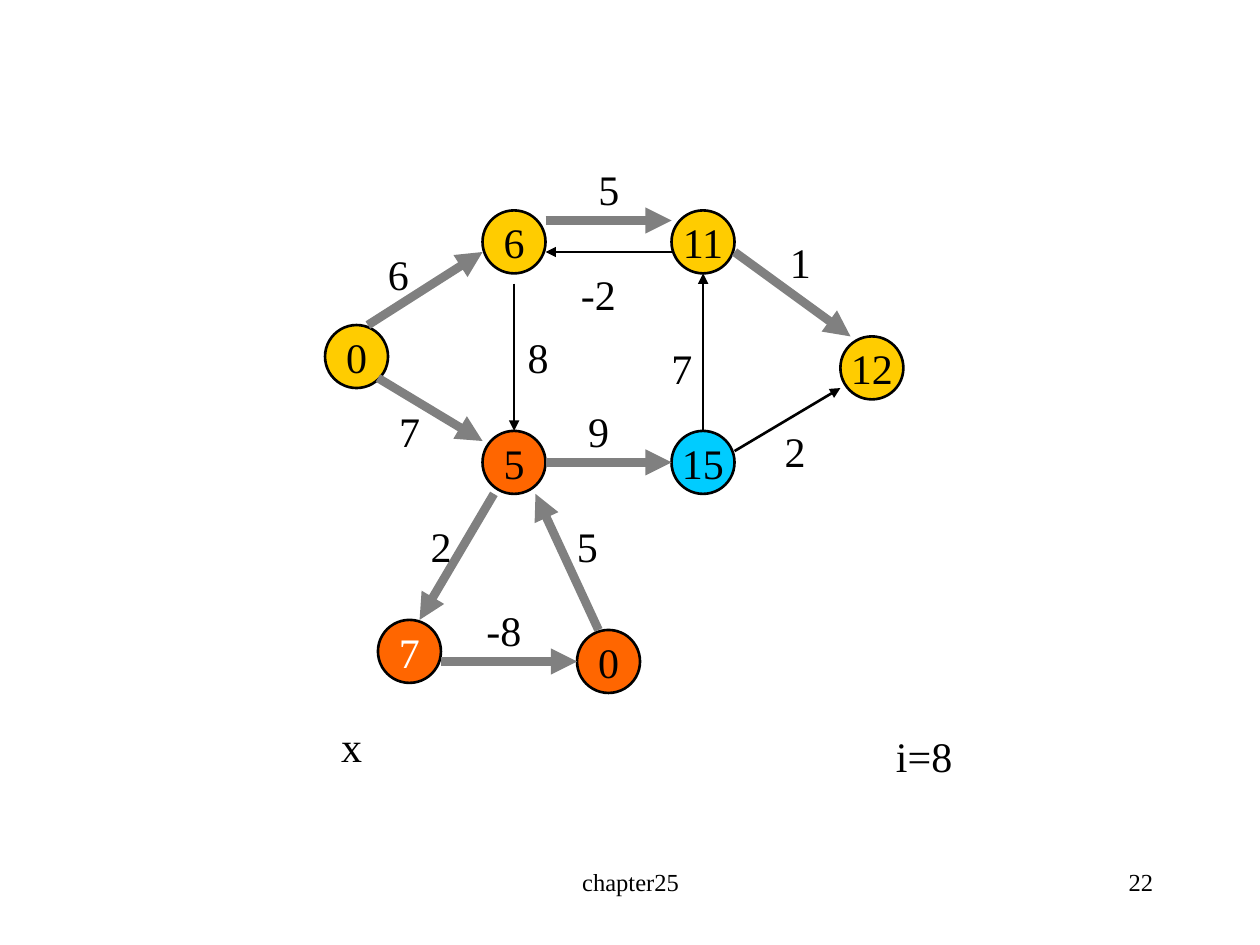
import pptx
import pptx.dml.color
import pptx.enum.shapes
import pptx.enum.text
import pptx.oxml.ns
import pptx.util
from lxml import etree
from typing import NamedTuple

Inches = pptx.util.Inches
Pt = pptx.util.Pt
ALIGN = pptx.enum.text.PP_ALIGN
ANCHOR = pptx.enum.text.MSO_ANCHOR
AUTO_SIZE = pptx.enum.text.MSO_AUTO_SIZE
qn = pptx.oxml.ns.qn

FONT = "Times New Roman"
BLACK, WHITE, GREY = "000000", "FFFFFF", "808080"
YELLOW, ORANGE, BLUE = "FFCC00", "FF6600", "00CCFF"
NODE_SIZE = 0.5
ROW = 0.5


class Node(NamedTuple):
    text: str
    x: float
    y: float
    fill: str
    color: str = BLACK


class Edge(NamedTuple):
    x1: float
    y1: float
    x2: float
    y2: float
    on_path: bool = True


class Weight(NamedTuple):
    text: str
    x: float
    y: float


class Caption(NamedTuple):
    text: str
    x: float
    y: float
    width: float
    size: int = 24
    align: ALIGN = ALIGN.CENTER


NODES = [
    Node("0", 2.58, 2.58, YELLOW),
    Node("5", 3.83, 3.42, ORANGE),
    Node("6", 3.83, 1.67, YELLOW),
    Node("15", 5.33, 3.42, BLUE),
    Node("12", 6.67, 2.67, YELLOW),
    Node("11", 5.33, 1.67, YELLOW),
    Node("0", 4.58, 5, ORANGE),
    Node("7", 3, 4.92, ORANGE, WHITE),
]

EDGES = [
    Edge(2.92, 2.58, 3.83, 2),
    Edge(3, 3, 3.83, 3.5),
    Edge(4.33, 1.75, 5.33, 1.75),
    Edge(5.33, 2, 4.33, 2, on_path=False),
    Edge(4.08, 2.25, 4.08, 3.42, on_path=False),
    Edge(4.33, 3.67, 5.33, 3.67),
    Edge(5.58, 3.42, 5.58, 2.17, on_path=False),
    Edge(5.83, 2, 6.75, 2.67),
    Edge(5.83, 3.58, 6.67, 3.08, on_path=False),
    Edge(3.92, 3.92, 3.33, 4.92),
    Edge(3.5, 5.25, 4.58, 5.25),
    Edge(4.75, 5, 4.25, 3.92),
]

WEIGHTS = [
    Weight("6", 2.98, 1.92),
    Weight("7", 3.07, 3.17),
    Weight("8", 4.09, 2.58),
    Weight("5", 4.65, 1.25),
    Weight("-2", 4.51, 2.08),
    Weight("1", 6.17, 1.83),
    Weight("2", 6.13, 3.33),
    Weight("9", 4.57, 3.17),
    Weight("7", 5.23, 2.67),
    Weight("2", 3.32, 4.08),
    Weight("5", 4.48, 4.08),
    Weight("-8", 3.76, 4.75),
]

CAPTIONS = [
    Caption("x", 2.5, 5.67, 0.58),
    Caption("i=8", 6.5, 5.75, 1.67),
    Caption("chapter25", 3.42, 6.83, 3.17, size=14),
    Caption("22", 7.17, 6.83, 2.08, size=14, align=ALIGN.RIGHT),
]


def rgb(color: str) -> pptx.dml.color.RGBColor:
    return pptx.dml.color.RGBColor.from_string(color)


def write(sp, text: str, *, size=24, color=BLACK, align=ALIGN.CENTER,
          anchor=ANCHOR.MIDDLE, wrap=False, auto_size=AUTO_SIZE.NONE) -> None:
    tf = sp.text_frame
    tf.word_wrap = wrap
    tf.auto_size = auto_size
    tf.vertical_anchor = anchor
    p = tf.paragraphs[0]
    p.alignment = align
    r = p.add_run()
    r.text = text
    r.font.name = FONT
    r.font.size = Pt(size)
    r.font.color.rgb = rgb(color)


def draw_node(shapes, node: Node) -> None:
    sp = shapes.add_shape(pptx.enum.shapes.MSO_SHAPE.OVAL, Inches(node.x), Inches(node.y),
                          Inches(NODE_SIZE), Inches(NODE_SIZE))
    sp.shadow.inherit = False
    sp.fill.solid()
    sp.fill.fore_color.rgb = rgb(node.fill)
    sp.line.color.rgb = rgb(BLACK)
    sp.line.width = Pt(1.5)
    write(sp, node.text, color=node.color)


def draw_edge(shapes, edge: Edge) -> None:
    cxn = shapes.add_connector(pptx.enum.shapes.MSO_CONNECTOR.STRAIGHT,
                               Inches(edge.x1), Inches(edge.y1),
                               Inches(edge.x2), Inches(edge.y2))
    cxn.line.color.rgb = rgb(GREY if edge.on_path else BLACK)
    cxn.line.width = Pt(5 if edge.on_path else 1.5)
    etree.SubElement(cxn.line._get_or_add_ln(), qn("a:tailEnd"), type="triangle")
    etree.SubElement(cxn._element.spPr, qn("a:effectLst"))


def draw_weight(shapes, weight: Weight) -> None:
    width = 0.36 if len(weight.text) == 1 else 0.48
    sp = shapes.add_textbox(Inches(weight.x), Inches(weight.y), Inches(width), Inches(ROW))
    write(sp, weight.text, auto_size=AUTO_SIZE.SHAPE_TO_FIT_TEXT)


def draw_caption(shapes, cap: Caption) -> None:
    sp = shapes.add_textbox(Inches(cap.x), Inches(cap.y), Inches(cap.width), Inches(ROW))
    write(sp, cap.text, size=cap.size, align=cap.align, anchor=ANCHOR.TOP, wrap=True)


def main() -> None:
    prs = pptx.Presentation()
    prs.slide_width, prs.slide_height = Inches(10), Inches(7.5)
    shapes = prs.slides.add_slide(prs.slide_layouts[6]).shapes

    # Graph
    for node in NODES:
        draw_node(shapes, node)
    for edge in EDGES:
        draw_edge(shapes, edge)
    for weight in WEIGHTS:
        draw_weight(shapes, weight)

    # Captions and footer
    for cap in CAPTIONS:
        draw_caption(shapes, cap)

    prs.save("out.pptx")


if __name__ == "__main__":
    main()
